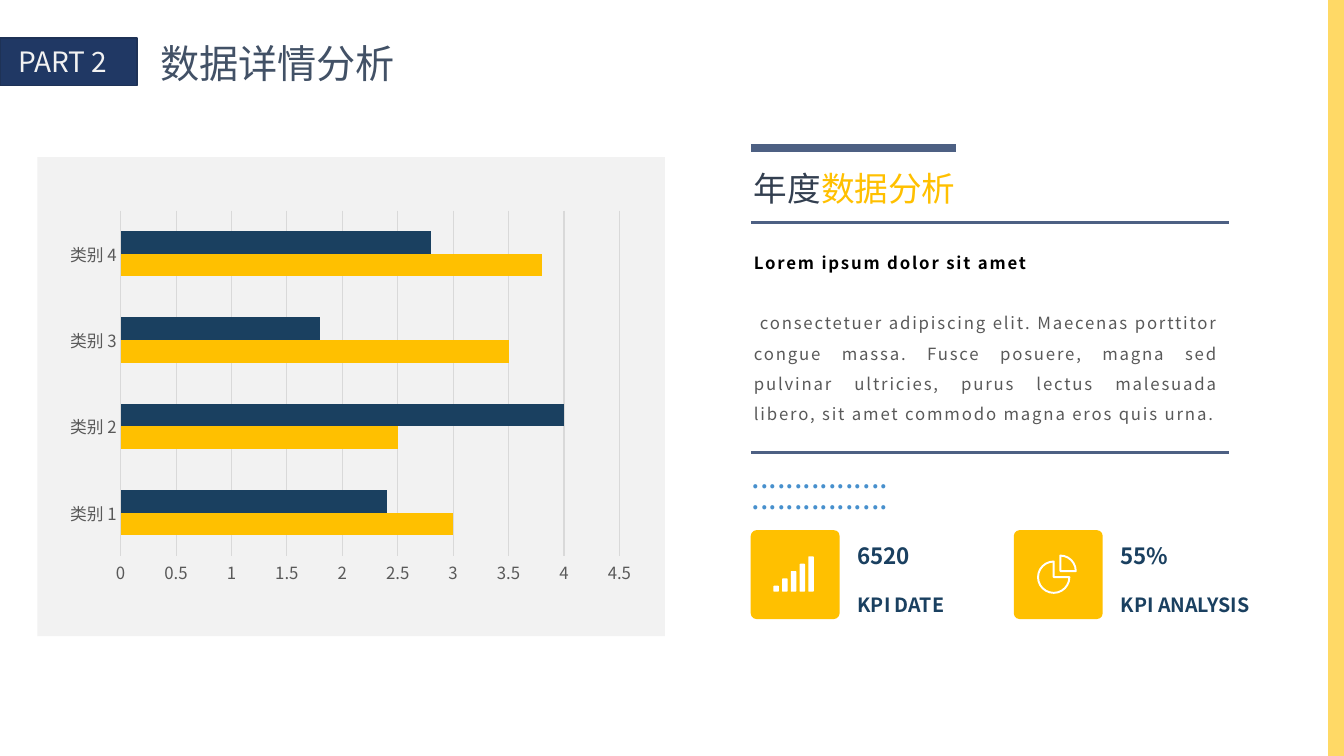
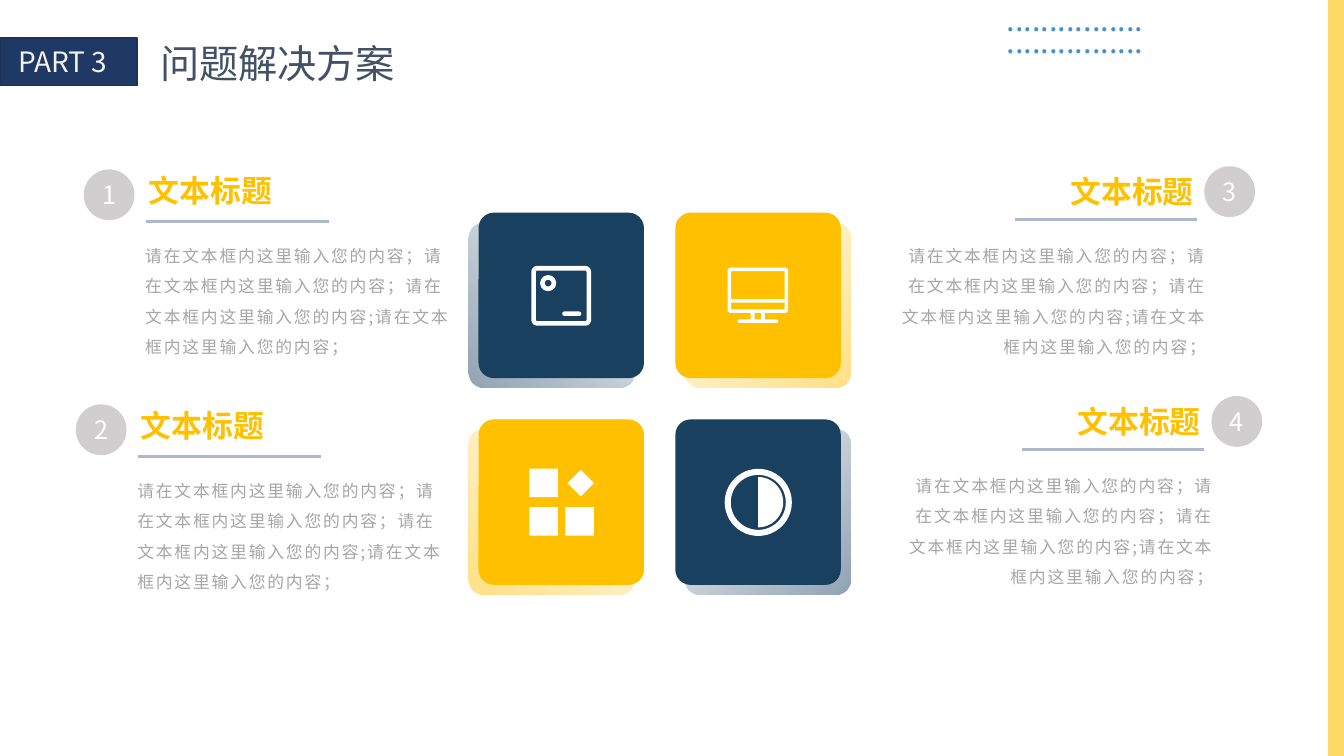
from lxml import etree
from pptx import Presentation
from pptx.chart.data import CategoryChartData
from pptx.dml.color import RGBColor
from pptx.enum.chart import XL_CHART_TYPE, XL_TICK_MARK
from pptx.enum.shapes import MSO_CONNECTOR, MSO_SHAPE
from pptx.enum.text import MSO_ANCHOR, PP_ALIGN
from pptx.oxml.ns import qn
from pptx.util import Cm, Pt

RECT = MSO_SHAPE.RECTANGLE
ROUND = MSO_SHAPE.ROUNDED_RECTANGLE
OVAL = MSO_SHAPE.OVAL
DIAMOND = MSO_SHAPE.DIAMOND
PIE = MSO_SHAPE.PIE
WEDGE = MSO_SHAPE.PIE_WEDGE
STRAIGHT = MSO_CONNECTOR.STRAIGHT
LEFT, CENTER, RIGHT, JUSTIFY = PP_ALIGN.LEFT, PP_ALIGN.CENTER, PP_ALIGN.RIGHT, PP_ALIGN.JUSTIFY
MIDDLE = MSO_ANCHOR.MIDDLE
NO_TICK = XL_TICK_MARK.NONE
BAR = XL_CHART_TYPE.BAR_CLUSTERED

FONT = "Noto Sans CJK SC"
HEX = {
    "white": "FFFFFF", "black": "000000", "heading": "425166", "part": "203864",
    "part_edge": "1E3256", "panel": "F2F2F2", "edge": "FFD966", "gold": "FFC000",
    "navy": "1A4060", "slate": "4D6083", "ink": "333F50", "body": "595959",
    "grid": "D9D9D9", "dots": "4790CD", "badge": "D0CECE", "muted": "A6A6A6",
    "rule": "ADB9CA",
}
COLORS = {name: RGBColor.from_string(value) for name, value in HEX.items()}


def add_block(page, form, place, fill=None, line=None, width=1, adjust=()):
    lengths = [Cm(value) for value in place]
    if form is None:
        box = page.shapes.add_textbox(*lengths)
        box.text_frame.word_wrap = True
        return box
    box = page.shapes.add_shape(form, *lengths)
    box.shadow.inherit = False
    for index, value in enumerate(adjust):
        box.adjustments[index] = value
    if fill:
        box.fill.solid()
        box.fill.fore_color.rgb = COLORS[fill]
    else:
        box.fill.background()
    if line:
        box.line.color.rgb = COLORS[line]
        box.line.width = Pt(width)
    else:
        box.line.fill.background()
    return box


def add_para(box, spans, size, align=LEFT, bold=False, middle=False, tracking=0, spacing=None):
    frame = box.text_frame
    para = frame.paragraphs[0]
    if para.runs:
        para = frame.add_paragraph()
    para.alignment = align
    if spacing:
        para.line_spacing = spacing
    if middle:
        frame.vertical_anchor = MIDDLE
    for text, color in spans:
        span = para.add_run()
        span.text = text
        span.font.name = FONT
        span.font.size = Pt(size)
        span.font.bold = bold
        span.font.color.rgb = COLORS[color]
        properties = span.font._element
        etree.SubElement(properties, qn("a:ea"), typeface=FONT)
        if tracking:
            properties.set("spc", str(round(tracking * 100)))
    return para


deck = Presentation()
deck.slide_width, deck.slide_height = Cm(33.87), Cm(19.05)
pages = []
rules = []

for part, heading, dots_left, dots_top in [
    ("PART 2", "数据详情分析", 18.69, 11.4),
    ("PART 3", "问题解决方案", 25.12, -0.1),
]:
    page = deck.slides.add_slide(deck.slide_layouts[6])
    pages.append(page)
    title = add_block(page, None, (3.25, 0.86, 7.49, 1.45))
    add_para(title, [(heading, "heading")], 28, CENTER)
    tag = add_block(page, RECT, (0, 0.96, 3.45, 1.19), "part", "part_edge")
    tag.text_frame.margin_left = Cm(0.46)
    add_para(tag, [(part, "panel")], 20, middle=True)
    for row in range(2):
        dots = add_block(page, None, (dots_left, dots_top + row * 0.54, 8.13, 1.19))
        add_para(dots, [("................", "dots")], 22, JUSTIFY)
    rules.append((page, 33.68, 0, 33.68, 19.05, "edge", 11.75))

data_page, solution_page = pages

add_block(data_page, RECT, (0.94, 3.96, 15.82, 12.07), "panel")
data = CategoryChartData()
data.categories = ["类别 1", "类别 2", "类别 3", "类别 4"]
data.add_series("Series 1", (3, 2.5, 3.5, 3.8))
data.add_series("Series 2", (2.4, 4, 1.8, 2.8))
chart = data_page.shapes.add_chart(BAR, Cm(1.47), Cm(5.11), Cm(14.73), Cm(9.83), data).chart
chart.has_legend = False
chart.has_title = False
chart.font.name = FONT
chart.font.size = Pt(10)
plot = chart.plots[0]
plot.gap_width = 182
plot.overlap = 0
plot.vary_by_categories = False
for series, color in zip(plot.series, ("gold", "navy")):
    series.format.fill.solid()
    series.format.fill.fore_color.rgb = COLORS[color]
for axis in (chart.category_axis, chart.value_axis):
    axis.major_tick_mark = NO_TICK
    axis.minor_tick_mark = NO_TICK
    axis.tick_labels.font.name = FONT
    axis.tick_labels.font.size = Pt(12)
    axis.tick_labels.font.color.rgb = COLORS["body"]
values = chart.value_axis
values.minimum_scale, values.maximum_scale, values.major_unit = 0, 4.5, 0.5
values.format.line.fill.background()
for line in (chart.category_axis.format.line, values.major_gridlines.format.line):
    line.color.rgb = COLORS["grid"]
    line.width = Pt(0.75)

subtitle = add_block(data_page, None, (18.75, 4.11, 5.79, 1.27))
add_para(subtitle, [("年度", "ink"), ("数据分析", "gold")], 24)
summary = add_block(data_page, None, (18.75, 5.99, 12.22, 4.8))
add_para(summary, [("Lorem ipsum dolor sit amet", "black")], 12, JUSTIFY, True, tracking=1.3, spacing=1.5)
detail = add_para(summary, [(
    "consectetuer adipiscing elit. Maecenas porttitor congue massa. Fusce posuere, "
    "magna sed pulvinar ultricies, purus lectus malesuada libero, sit amet commodo "
    "magna eros quis urna.", "body")], 12, JUSTIFY, tracking=1.3, spacing=1.5)
detail.space_before = Pt(21.6)
detail._p.get_or_add_pPr().set("indent", str(Cm(0.15)))
for top, right, width in [(3.73, 24.1, 6.25), (5.61, 30.96, 2), (11.4, 30.96, 2)]:
    rules.append((data_page, 18.92, top, right, top, "slate", width))

KPI_TOP, KPI_SIZE = 13.36, 2.24
KPI_LEFTS = (18.92, 25.55)
for left, figure, label in zip(KPI_LEFTS, ("6520", "55%"), ("KPI DATE", "KPI ANALYSIS")):
    add_block(data_page, ROUND, (left, KPI_TOP, KPI_SIZE, KPI_SIZE), "gold", adjust=(0.065,))
    for text, top, size in [(figure, 13.26, 16), (label, 14.48, 14)]:
        caption = add_block(data_page, None, (left + 2.44, top, 4, 1.5))
        add_para(caption, [(text, "navy")], size, bold=True, middle=True)

for index in range(5):
    height = 0.15 + index * 0.185
    place = (KPI_LEFTS[0] + 0.57 + index * 0.22, KPI_TOP + 1.55 - height, 0.14, height)
    add_block(data_page, ROUND, place, "white")
add_block(data_page, PIE, (KPI_LEFTS[1] + 0.61, KPI_TOP + 0.79, 0.79, 0.79), None, "white", 1.4)
slice_icon = add_block(data_page, WEDGE, (KPI_LEFTS[1] + 1.17, KPI_TOP + 0.64, 0.39, 0.39), None, "white", 1.4)
slice_icon.rotation = 90

TILE, SHIFT = 4.17, 0.24
for left, top, color, side in [
    (12.06, 5.36, "navy", -1), (17.02, 5.36, "gold", 1),
    (12.06, 10.57, "gold", -1), (17.02, 10.57, "navy", 1),
]:
    shade = add_block(solution_page, ROUND, (left + side * SHIFT, top + SHIFT, TILE, TILE), adjust=(0.093,))
    shade.fill.gradient()
    shade.fill.gradient_angle = 90 + side * 45
    for stop, position, alpha in zip(shade.fill.gradient_stops, (0, 1), ("49000", "0")):
        stop.position = position
        stop.color.rgb = COLORS[color]
        etree.SubElement(stop._gs.find(qn("a:srgbClr")), qn("a:alpha"), val=alpha)
    add_block(solution_page, ROUND, (left, top, TILE, TILE), color, adjust=(0.093,))

for form, place, stroke, adjust in [
    (ROUND, (13.45, 6.76, 1.39, 1.39), 3.25, (0.06,)),
    (OVAL, (13.67, 6.99, 0.29, 0.29), 3.25, ()),
    (ROUND, (14.17, 7.85, 0.48, 0.11), 0, (0.5,)),
    (ROUND, (18.38, 6.79, 1.44, 1.05), 2.5, (0.03,)),
    (RECT, (18.42, 7.54, 1.36, 0.09), 0, ()),
    (RECT, (18.92, 7.87, 0.1, 0.2), 0, ()),
    (RECT, (19.18, 7.87, 0.1, 0.2), 0, ()),
    (ROUND, (18.59, 8.05, 1.02, 0.09), 0, (0.5,)),
    (RECT, (13.34, 11.81, 0.72, 0.72), 0, ()),
    (DIAMOND, (14.3, 11.84, 0.67, 0.67), 0, ()),
    (RECT, (13.34, 12.78, 0.72, 0.72), 0, ()),
    (RECT, (14.25, 12.78, 0.72, 0.72), 0, ()),
    (OVAL, (18.34, 11.89, 1.54, 1.54), 4.3, ()),
    (PIE, (18.47, 12.02, 1.27, 1.27), 0, (162, 54)),
]:
    fill, line = (None, "white") if stroke else ("white", None)
    add_block(solution_page, form, place, fill, line, stroke, adjust)

PROMPT = (
    "请在文本框内这里输入您的内容；请在文本框内这里输入您的内容；"
    "请在文本框内这里输入您的内容;请在文本框内这里输入您的内容；"
)
LEFT_SIDE = (LEFT, 0.74, -0.23, 1.3, 1.55, 1.58, 1.32)
RIGHT_SIDE = (RIGHT, -4.27, -0.12, -8.13, 1.63, -4.78, 1.35)
for number, left, top, side in [
    ("1", 2.11, 4.27, LEFT_SIDE), ("2", 1.91, 10.19, LEFT_SIDE),
    ("3", 30.35, 4.19, RIGHT_SIDE), ("4", 30.53, 9.98, RIGHT_SIDE),
]:
    align, title_x, title_y, body_x, body_y, rule_x, rule_y = side
    badge = add_block(solution_page, OVAL, (left, top, 1.28, 1.28), "badge")
    add_para(badge, [(number, "white")], 18, CENTER, middle=True)
    title = add_block(solution_page, None, (left + title_x, top + title_y, 4.9, 1.5))
    add_para(title, [("文本标题", "gold")], 22, CENTER, True, True)
    body = add_block(solution_page, None, (left + body_x, top + body_y, 8.43, 3.25))
    add_para(body, [(PROMPT, "muted")], 12, align, tracking=1.3, spacing=1.5)
    start, level = left + rule_x, top + rule_y
    rules.append((solution_page, start, level, start + 4.6, level, "rule", 2))

for page, x1, y1, x2, y2, color, width in rules:
    rule = page.shapes.add_connector(STRAIGHT, Cm(x1), Cm(y1), Cm(x2), Cm(y2))
    rule.line.color.rgb = COLORS[color]
    rule.line.width = Pt(width)
    etree.SubElement(rule._element.spPr, qn("a:effectLst"))

deck.save("out.pptx")
